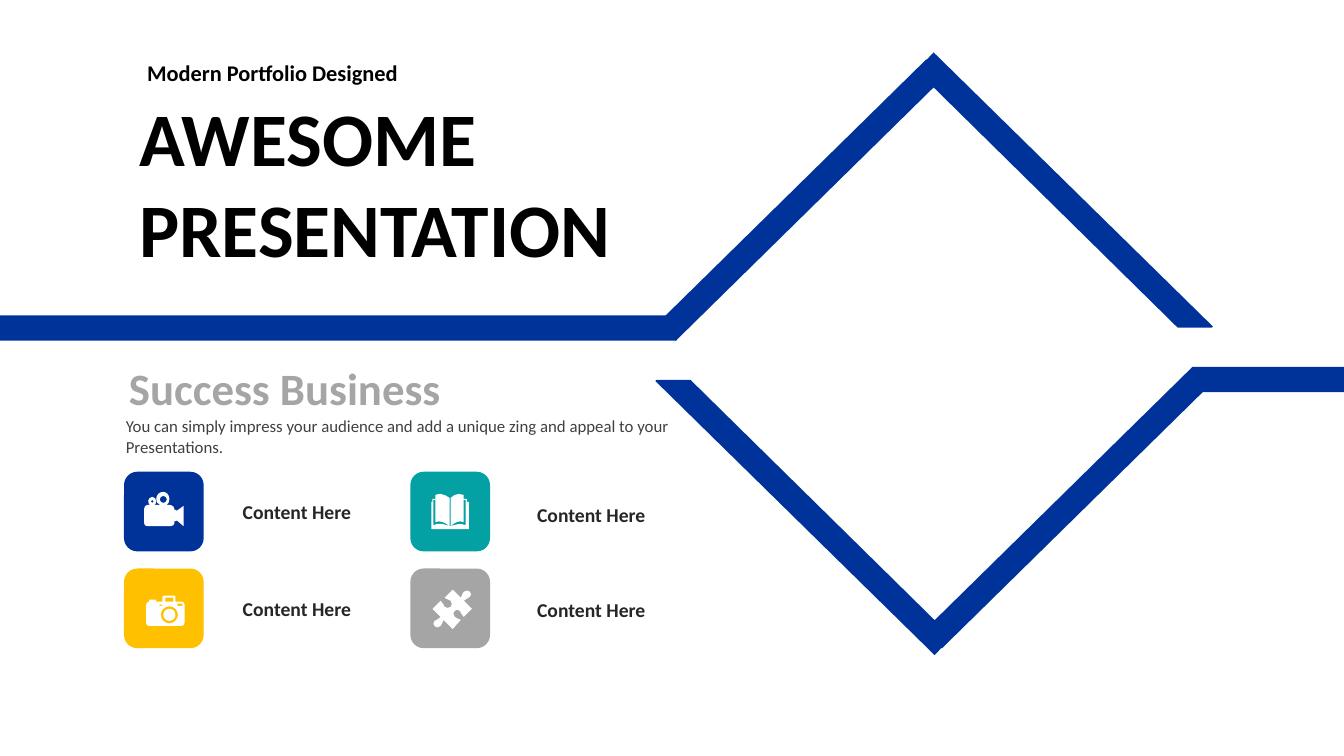
"""Build a portfolio title slide with a split diamond ribbon and four icon tiles."""
from pptx import Presentation, util as u
from pptx.dml.color import RGBColor
from pptx.enum import shapes, text
from pptx.oxml import ns, xmlchemy

WIDTH, HEIGHT = 13.33, 7.5
FONT = "Calibri"
NAVY = RGBColor(0x00, 0x33, 0x99)
TEAL = RGBColor(0x03, 0xA1, 0xA4)
AMBER = RGBColor(0xFF, 0xC0, 0x00)
GRAY = RGBColor(0xA5, 0xA5, 0xA5)
BODY = RGBColor(0x40, 0x40, 0x40)
LABEL = RGBColor(0x26, 0x26, 0x26)
BLACK = RGBColor(0, 0, 0)
WHITE = RGBColor(0xFF, 0xFF, 0xFF)

TITLE = ["AWESOME", "PRESENTATION"]
SUBTITLE = "Modern Portfolio Designed"
HEADING = "Success Business"
DESCRIPTION = ("You can simply impress your audience and add a unique zing "
               "and appeal to your Presentations.")

VIDEO = """O 8 9.5 1.5 O 19 7.5 3.5 M 19 0 C 22 0 25 3 25 7 C 25 10 24 12 22 13
L 26 13 C 28 13 30 15 30 17 L 30 18 L 32 18 L 32 19 L 39 14 L 39 34 L 32 28
L 32 29 L 30 29 L 30 31 C 30 33 28 34 26 34 L 3 34 C 1 34 0 33 0 31 L 0 17
C 0 15 1 13 3 13 L 6 13 C 5 13 4 11 4 9 C 4 7 6 5 8 5 C 10 5 12 7 12 9
C 12 11 11 13 10 13 L 16 13 C 13 12 12 10 12 7 C 12 3 15 0 19 0"""
BOOK = """M 18 32 L 19 32 C 25 30 28 29 34 31 L 34 6 L 32 6 L 32 28
C 28 26 23 28 19 32 L 19 4 C 21 2 24 0 27 0 C 29 0 30 0 32 1 L 32 5 L 35 5
L 35 8 L 37 8 L 37 35 L 0 35 L 0 8 L 1 8 L 1 5 L 4 5 L 4 1 C 6 0 8 0 9 0
C 12 0 15 2 18 4 L 18 32 C 13 28 8 26 4 28 L 4 6 L 2 6 L 2 31
C 8 28 12 30 18 32"""
CAMERA = """O 23 19 6 O 23 19 8.5 M 13 9 L 13 10 L 16 10 L 16 9
M 31 8 L 31 10 L 36 10 L 36 8 M 19 2 L 19 6 L 27 6 L 27 2
M 17 0 L 28 0 C 29 0 29 1 29 2 L 29 6 L 35 6 C 37 6 38 7 38 9 L 38 27
C 38 29 37 30 35 30 L 3 30 C 1 30 0 29 0 27 L 0 9 C 0 7 1 6 3 6 L 3 4
L 10 4 L 10 6 L 16 6 L 16 2 C 16 1 17 0 17 0"""
PUZZLE = """M 37 2 C 38 3 39 6 37 7 C 35 10 33 8 31 11 L 39 19 L 31 27
C 28 25 29 23 27 21 C 25 19 23 20 22 21 C 20 22 20 25 22 27
C 24 29 25 28 28 30 L 20 39 L 11 30 C 9 33 10 34 8 36 C 6 38 3 38 2 36
C 1 35 0 33 2 31 C 4 29 6 30 8 27 L 0 19 L 8 11 C 11 13 10 15 12 17
C 14 19 16 18 18 17 C 19 16 20 13 18 11 C 15 9 14 10 12 8 L 20 0 L 28 8
C 30 5 29 4 31 2 C 33 0 36 1 37 2"""

TILES = [
    dict(col=0, row=0, color=NAVY, icon=VIDEO, icon_at=(1.43, 4.88), label_top=4.91),
    dict(col=1, row=0, color=TEAL, icon=BOOK, icon_at=(4.28, 4.9), label_top=4.94),
    dict(col=0, row=1, color=AMBER, icon=CAMERA, icon_at=(1.45, 5.91), label_top=5.87),
    dict(col=1, row=1, color=GRAY, icon=PUZZLE, icon_at=(4.29, 5.85), label_top=5.88),
]
TILE_LABEL = "Content Here"
TILE_SIZE = 0.79
TILE_LEFT, TILE_TOP, TILE_STEP_X, TILE_STEP_Y = 1.23, 4.68, 2.84, 0.96
LABEL_LEFT, LABEL_STEP_X = 2.09, 2.92

BAND = 0.25
BAR_TOP, BAR_END = 3.13, 6.71
ARM = (7.82, 0.12, BAND, 3.73)
ARM_ANGLE = 45.5
TAIL = [(9.26, 0.52), (12.03, 3.24), (12.02, 3.25), (11.68, 3.25), (9.09, 0.7)]
TURN_X, TURN_Y = 18.53, 7.02
GROW = text.MSO_AUTO_SIZE.SHAPE_TO_FIT_TEXT


def paint(shape, color):
    shape.shadow.inherit = False
    shape.fill.solid()
    shape.fill.fore_color.rgb = color
    shape.line.fill.background()


def add_block(page, kind, at, color, angle=0):
    block = page.shapes.add_shape(kind, *map(u.Inches, at))
    block.rotation = angle
    paint(block, color)


def add_outline(page, contours, color):
    """Draw contours of (x, y, curved) points; three curved points make one curve."""
    spots = [[(u.Inches(x), u.Inches(y)) for x, y, _ in points] for points in contours]
    builder = page.shapes.build_freeform(*spots[0][0], scale=1.0)
    for index, points in enumerate(spots):
        if index:
            builder.move_to(*points[0])
        builder.add_line_segments(points[1:], close=True)
    outline = builder.convert_to_shape()
    paint(outline, color)
    flags = [curved for points in contours for _, _, curved in points[1:]]
    lines = list(outline._element.iter(ns.qn("a:lnTo")))
    bends = [line for line, curved in zip(lines, flags) if curved]
    for trio in zip(bends[::3], bends[1::3], bends[2::3]):
        curve = xmlchemy.OxmlElement("a:cubicBezTo")
        trio[0].addprevious(curve)
        for line in trio:
            curve.append(line[0])
            line.getparent().remove(line)


def circle(x, y, radius):
    pull = 0.55
    unit = [(1, 0), (1, pull), (pull, 1), (0, 1), (-pull, 1), (-1, pull), (-1, 0),
            (-1, -pull), (-pull, -1), (0, -1), (pull, -1), (1, -pull), (1, 0)]
    return [(x + radius * dx, y + radius * dy, True) for dx, dy in unit]


def trace(commands, left, top):
    """Read M, L, C points and O circles, in hundredths of an inch, as contours."""
    tokens = iter(commands.split())
    contours = []
    for command in tokens:
        count = {"M": 2, "L": 2, "C": 6, "O": 3}[command]
        values = [float(next(tokens)) for _ in range(count)]
        if command == "O":
            contours.append(circle(*values))
            continue
        if command == "M":
            contours.append([])
        contours[-1] += [(x, y, command == "C")
                         for x, y in zip(values[::2], values[1::2])]
    return [[(left + x / 100, top + y / 100, curved) for x, y, curved in points]
            for points in contours]


def write(box, lines, at, size, color, bold=True, align=text.PP_ALIGN.LEFT,
          anchor=text.MSO_ANCHOR.MIDDLE, fit=text.MSO_AUTO_SIZE.NONE):
    box.left, box.top, box.width, box.height = map(u.Inches, at)
    frame = box.text_frame
    frame.word_wrap = True
    frame.auto_size = fit
    frame.vertical_anchor = anchor
    for index, line in enumerate(lines):
        para = frame.add_paragraph() if index else frame.paragraphs[0]
        para.alignment = align
        para.space_before = u.Pt(0)
        span = para.add_run()
        span.text = line
        span.font.name = FONT
        span.font.size = u.Pt(size)
        span.font.bold = bold
        span.font.color.rgb = color


def add_ribbon(page):
    rect = shapes.MSO_SHAPE.RECTANGLE
    left, top, width, height = ARM
    turned_arm = (TURN_X - left - width, TURN_Y - top - height, width, height)
    turned_tail = [(TURN_X - x, TURN_Y - y) for x, y in TAIL]
    turned_start = TURN_X - BAR_END
    turned_bar = (turned_start, TURN_Y - BAR_TOP - BAND, WIDTH - turned_start, BAND)
    halves = [((0, BAR_TOP, BAR_END, BAND), ARM, TAIL, 0),
              (turned_bar, turned_arm, turned_tail, 180)]
    for bar, arm, tail, turn in halves:
        add_block(page, rect, bar, NAVY, turn)
        add_block(page, rect, arm, NAVY, ARM_ANGLE + turn)
        add_outline(page, [[(x, y, False) for x, y in tail]], NAVY)


def add_tile(page, col, row, color, icon, icon_at, label_top):
    at = (TILE_LEFT + col * TILE_STEP_X, TILE_TOP + row * TILE_STEP_Y,
          TILE_SIZE, TILE_SIZE)
    add_block(page, shapes.MSO_SHAPE.ROUNDED_RECTANGLE, at, color)
    add_outline(page, trace(icon, *icon_at), WHITE)
    write(page.shapes.add_textbox(0, 0, 0, 0), [TILE_LABEL],
          (LABEL_LEFT + col * LABEL_STEP_X, label_top, 1.71, 0.34), 14, LABEL,
          align=text.PP_ALIGN.CENTER, fit=GROW)


def main():
    deck = Presentation()
    deck.slide_width, deck.slide_height = u.Inches(WIDTH), u.Inches(HEIGHT)
    page = deck.slides.add_slide(deck.slide_layouts[0])
    top = text.MSO_ANCHOR.TOP
    add_ribbon(page)
    write(page.shapes.title, TITLE, (1.28, 0.84, 7.36, 1.92), 54, BLACK, fit=GROW)
    write(page.placeholders[1], [SUBTITLE], (1.36, 0.54, 3.39, 0.37), 16, BLACK,
          anchor=top, fit=GROW)
    write(page.shapes.add_textbox(0, 0, 0, 0), [HEADING], (1.18, 3.61, 5.58, 0.47), 32, GRAY)
    write(page.shapes.add_textbox(0, 0, 0, 0), [DESCRIPTION], (1.15, 4.08, 5.6, 0.5),
          12, BODY, bold=False, anchor=top)
    for tile in TILES:
        add_tile(page, **tile)
    deck.save("out.pptx")


if __name__ == "__main__":
    main()
